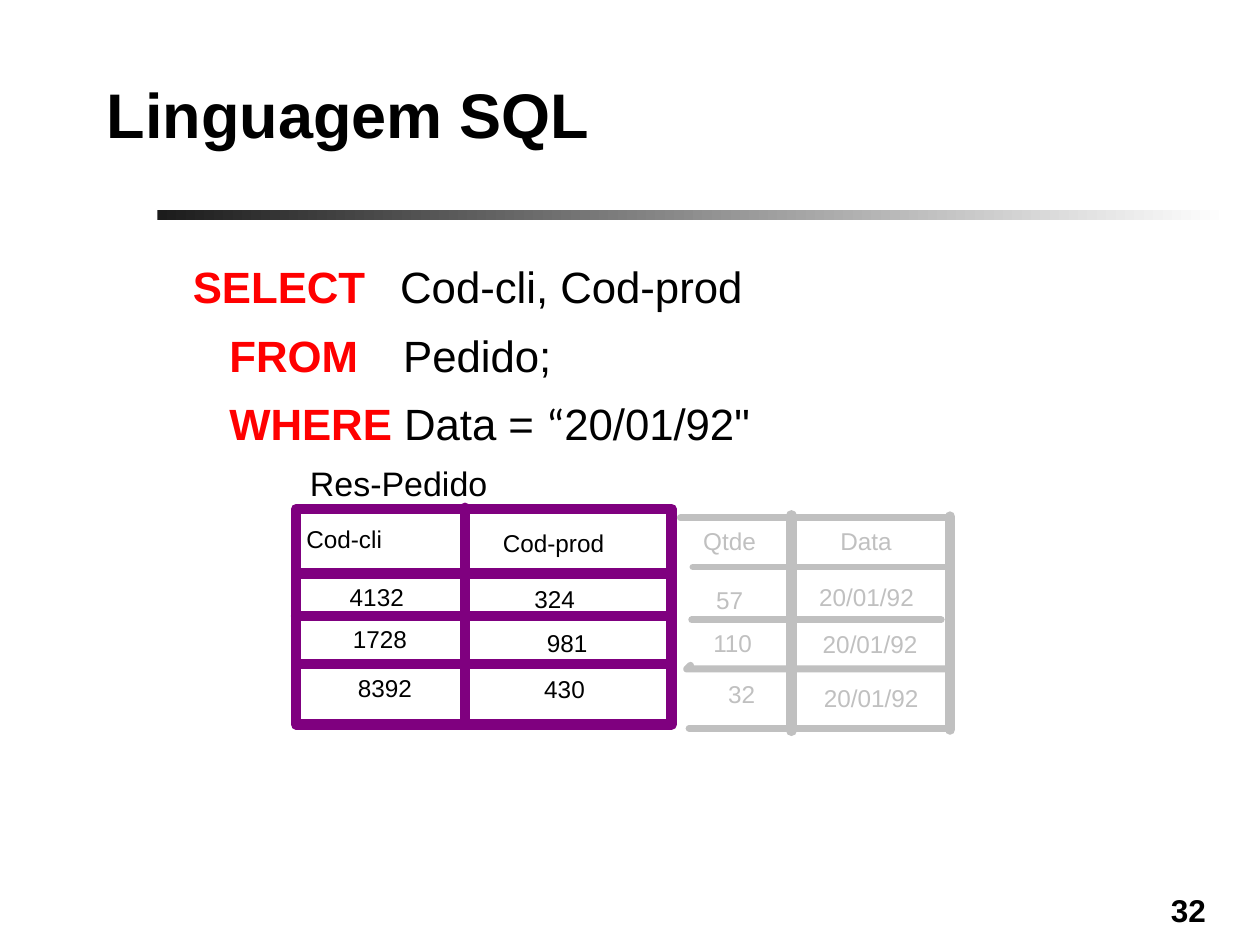
"""Build the SQL slide with a query and its highlighted result columns."""
from dataclasses import dataclass

from lxml.etree import SubElement
from pptx import Presentation
from pptx.dml.color import RGBColor
from pptx.enum.shapes import MSO_CONNECTOR as Connector, MSO_SHAPE as Preset
from pptx.enum.text import MSO_ANCHOR as Anchor, PP_ALIGN as Align
from pptx.oxml.ns import qn
from pptx.util import Pt

COLORS = {
    "black": "000000", "white": "FFFFFF", "keyword": "FF0000",
    "result": "7F007F", "faded": "C0C0C0", "rule": "1C1C1C",
}
CELL_SIZE = 13.9
CELL_HEIGHT = 17.3


@dataclass(frozen=True)
class Span:
    text: str
    size: float
    color: str = "black"
    bold: bool = False
    font: str = "Arial"


@dataclass(frozen=True)
class Cell:
    text: str
    left: float
    top: float
    width: float
    color: str = "black"
    align: Align = Align.CENTER


@dataclass(frozen=True)
class Line:
    x1: float
    y1: float
    x2: float
    y2: float
    color: str
    weight: float


def rgb(name: str) -> RGBColor:
    """Return the named colour."""
    return RGBColor.from_string(COLORS[name])


def add_box(page, left: float, top: float, width: float, height: float,
            inset: tuple = (0, 0), anchor: Anchor = Anchor.TOP):
    """Add a wrapping text box and return its text frame."""
    frame = page.shapes.add_textbox(Pt(left), Pt(top), Pt(width), Pt(height)).text_frame
    frame.word_wrap = True
    frame.vertical_anchor = anchor
    frame.margin_left = frame.margin_right = Pt(inset[0])
    frame.margin_top = frame.margin_bottom = Pt(inset[1])
    return frame


def fill_para(para, spans: list, align: Align = Align.LEFT, spacing: float = 1.0,
              tabs: tuple = ()) -> None:
    """Write the spans into a paragraph with its spacing and tab stops."""
    para.alignment = align
    para.line_spacing = spacing
    if tabs:
        stops = SubElement(para._p.get_or_add_pPr(), qn("a:tabLst"))
        for position in tabs:
            SubElement(stops, qn("a:tab"), pos=str(Pt(position)), algn="l")
    for span in spans:
        run = para.add_run()
        run.text = span.text
        run.font.name = span.font
        run.font.size = Pt(span.size)
        run.font.bold = span.bold
        run.font.color.rgb = rgb(span.color)


def style_line(shape, color: str, weight: float) -> None:
    """Give a shape a solid line with round caps and joins."""
    shape.line.color.rgb = rgb(color)
    shape.line.width = Pt(weight)
    outline = shape._element.spPr.find(qn("a:ln"))
    outline.set("cap", "rnd")
    SubElement(outline, qn("a:round"))


def add_line(page, line: Line) -> None:
    """Draw a straight grid line."""
    shape = page.shapes.add_connector(
        Connector.STRAIGHT, Pt(line.x1), Pt(line.y1), Pt(line.x2), Pt(line.y2))
    style_line(shape, line.color, line.weight)
    SubElement(shape._element.spPr, qn("a:effectLst"))


def add_outline(page, points: list, color: str, weight: float, closed: bool) -> None:
    """Draw a white closed outline or an unfilled open one."""
    start, *rest = [(Pt(x), Pt(y)) for x, y in points]
    builder = page.shapes.build_freeform(*start)
    builder.add_line_segments(rest, close=closed)
    shape = builder.convert_to_shape()
    shape.shadow.inherit = False
    if closed:
        shape.fill.solid()
        shape.fill.fore_color.rgb = rgb("white")
    else:
        shape.fill.background()
    style_line(shape, color, weight)


def add_rule(page) -> None:
    """Draw the fading rule below the title."""
    rule = page.shapes.add_shape(Preset.RECTANGLE, Pt(90), Pt(120), Pt(612), Pt(6))
    rule.shadow.inherit = False
    rule.line.fill.background()
    rule.fill.gradient()
    rule.fill.gradient_angle = 0
    for stop, position, name in zip(rule.fill.gradient_stops, (0, 1), ("rule", "white")):
        stop.position = position
        stop.color.rgb = rgb(name)


def add_cell(page, cell: Cell) -> None:
    """Write one value of the result table."""
    frame = add_box(page, cell.left, cell.top, cell.width, CELL_HEIGHT)
    fill_para(frame.paragraphs[0], [Span(cell.text, CELL_SIZE, cell.color)], cell.align, 0.9)


QUERY = [
    ([Span("SELECT", 25, "keyword", True), Span("\tCod-cli, Cod-prod", 25)], (118.5,)),
    ([Span("\t", 25), Span("FROM", 25, "keyword", True), Span("\tPedido;", 25)], (20.9, 120.2)),
    ([Span("\t", 25), Span("WHERE", 25, "keyword", True), Span(" Data = ", 25),
      Span("“", 25, font="Calibri"), Span('20/01/92"', 25)], (20.9,)),
]
LINES = [
    Line(170, 327.6, 383, 327.6, "result", 6),
    Line(170, 379.4, 383, 379.4, "result", 6),
    Line(169.2, 352.1, 381.6, 352.1, "result", 6),
    Line(265.7, 290.2, 265.7, 412.6, "result", 6),
    Line(452.2, 294.5, 452.2, 417.6, "faded", 6),
    Line(542.9, 295.2, 542.9, 416.9, "faded", 6),
    Line(388.8, 295.9, 542.2, 295.9, "faded", 4),
    Line(396, 324, 540, 324, "faded", 4),
    Line(395.3, 354.2, 537.8, 354.2, "faded", 4),
    Line(393.8, 416.2, 541.4, 416.2, "faded", 4),
]
FRAME = [(169.2, 290.9), (383.8, 290.9), (383.8, 414), (169.2, 414)]
HOOK = [(542.2, 382.3), (392.4, 382.3), (394.6, 380.2)]
CELLS = [
    Cell("Cod-cli", 175, 301.7, 65.5, align=Align.LEFT),
    Cell("Cod-prod", 287.3, 303.8, 85, align=Align.LEFT),
    Cell("Qtde", 401.8, 302.4, 49.7, "faded", Align.LEFT),
    Cell("Data", 480.2, 302.4, 51.1, "faded", Align.LEFT),
    Cell("4132", 189.4, 334.8, 51.8),
    Cell("324", 305.3, 335.5, 51.1, align=Align.LEFT),
    Cell("57", 391, 336.2, 51.8, "faded"),
    Cell("20/01/92", 468.1, 334.8, 87.8, "faded", Align.LEFT),
    Cell("1728", 189.4, 358.6, 55.4),
    Cell("981", 301, 360.7, 46.1),
    Cell("110", 391, 360.7, 55.4, "faded"),
    Cell("20/01/92", 452.2, 361.4, 90, "faded"),
    Cell("8392", 187.2, 386.6, 65.5),
    Cell("430", 297.4, 387.4, 50.4),
    Cell("32", 391, 390.2, 65.5, "faded"),
    Cell("20/01/92", 452.2, 392.4, 91.4, "faded"),
]


def main() -> None:
    """Build and save the deck."""
    deck = Presentation()
    deck.slide_width, deck.slide_height = Pt(720), Pt(540)
    page = deck.slides.add_slide(deck.slide_layouts[6])
    add_rule(page)
    number = add_box(page, 588.2, 498.2, 108, 36, (7.2, 3.6), Anchor.BOTTOM)
    fill_para(number.paragraphs[0], [Span("32", 18, bold=True)], Align.RIGHT)
    title = add_box(page, 54, 30, 612, 60, (7.2, 3.6), Anchor.BOTTOM)
    fill_para(title.paragraphs[0], [Span("Linguagem SQL", 36, bold=True)])
    query = add_box(page, 110.2, 139.7, 424, 116.6)
    for index, (spans, tabs) in enumerate(QUERY):
        para = query.add_paragraph() if index else query.paragraphs[0]
        fill_para(para, spans, spacing=1.3, tabs=tabs)
    add_outline(page, FRAME, "result", 6, True)
    for line in LINES:
        add_line(page, line)
    add_outline(page, HOOK, "faded", 4, False)
    caption = add_box(page, 177.1, 267.1, 149.8, 23)
    fill_para(caption.paragraphs[0], [Span("Res-Pedido", 19.4)], spacing=0.9)
    for cell in CELLS:
        add_cell(page, cell)
    deck.save("out.pptx")


if __name__ == "__main__":
    main()
